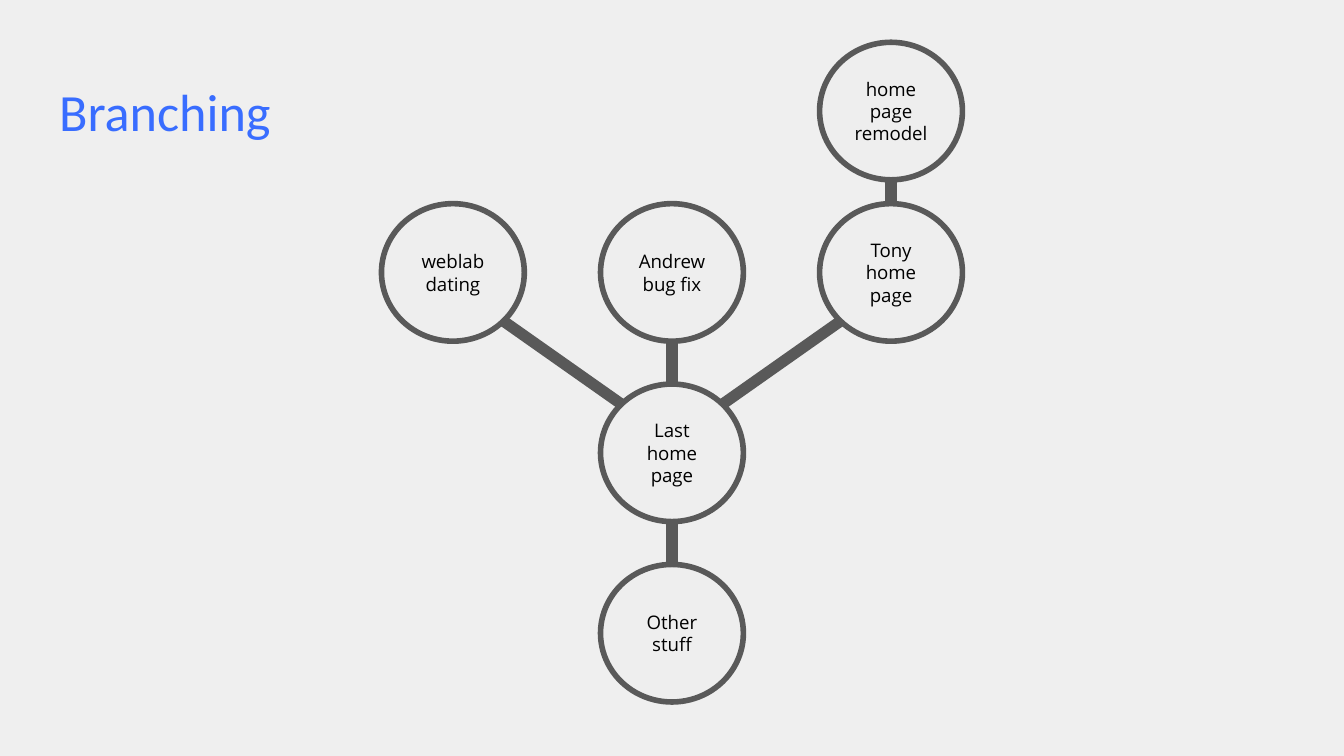
import math

import pptx
import pptx.dml.color
import pptx.enum.shapes
import pptx.enum.text
import pptx.oxml
import pptx.util
from pptx.util import Cm

RGBColor = pptx.dml.color.RGBColor
BACKGROUND = RGBColor(0xEF, 0xEF, 0xEF)
NODE_FILL = RGBColor(0xEE, 0xEE, 0xEE)
GRAY = RGBColor(0x59, 0x59, 0x59)
BLUE = RGBColor(0x39, 0x6D, 0xFF)
BLACK = RGBColor(0, 0, 0)

# Grid of commit centres, in centimetres
COLUMNS = [12.7 + 4.14 * step for step in (-1, 0, 1)]
ROWS = [2.1, 5.15, 8.56, 11.97]
NODE_WIDTH, NODE_HEIGHT = 2.7, 2.6


def write_text(frame, text, *, font, size, color, align, anchor):
    frame.word_wrap = True
    frame.vertical_anchor = anchor
    frame.margin_left = frame.margin_right = Cm(0.25)
    frame.margin_top = frame.margin_bottom = Cm(0.25)
    frame.text = text
    for paragraph in frame.paragraphs:
        paragraph.alignment = align
        paragraph.font.name = font
        paragraph.font.size = pptx.util.Pt(size)
        paragraph.font.color.rgb = color


def rim(center, dx, dy):
    """Point on a node's rim in the direction (dx, dy)."""
    length = math.hypot(dx, dy)
    return (center[0] + NODE_WIDTH / 2 * dx / length,
            center[1] + NODE_HEIGHT / 2 * dy / length)


class BranchDiagram:
    title_font, node_font = "Calibri", "Open Sans"
    node_line, branch_line = pptx.util.Pt(3), pptx.util.Pt(6)

    def __init__(self, slide):
        self.slide = slide
        fill = slide.background.fill
        fill.solid()
        fill.fore_color.rgb = BACKGROUND

    def title(self, text):
        box = self.slide.shapes.add_textbox(Cm(0.87), Cm(1.24), Cm(23.66), Cm(1.6))
        write_text(box.text_frame, text, font=self.title_font, size=28, color=BLUE,
                   align=pptx.enum.text.PP_ALIGN.LEFT,
                   anchor=pptx.enum.text.MSO_ANCHOR.TOP)

    def node(self, center, text):
        circle = self.slide.shapes.add_shape(
            pptx.enum.shapes.MSO_SHAPE.OVAL,
            Cm(center[0] - NODE_WIDTH / 2), Cm(center[1] - NODE_HEIGHT / 2),
            Cm(NODE_WIDTH), Cm(NODE_HEIGHT))
        circle.shadow.inherit = False
        circle.fill.solid()
        circle.fill.fore_color.rgb = NODE_FILL
        circle.line.color.rgb = GRAY
        circle.line.width = self.node_line
        write_text(circle.text_frame, text, font=self.node_font, size=10, color=BLACK,
                   align=pptx.enum.text.PP_ALIGN.CENTER,
                   anchor=pptx.enum.text.MSO_ANCHOR.MIDDLE)

    def branch(self, start, end):
        line = self.slide.shapes.add_connector(
            pptx.enum.shapes.MSO_CONNECTOR.STRAIGHT, *map(Cm, start + end))
        line.line.color.rgb = GRAY
        line.line.width = self.branch_line
        line._element.spPr.append(pptx.oxml.parse_xml(
            '<a:effectLst xmlns:a="http://schemas.openxmlformats.org/drawingml/2006/main"/>'))


def main():
    deck = pptx.Presentation()
    deck.slide_width, deck.slide_height = Cm(25.4), Cm(14.29)
    diagram = BranchDiagram(deck.slides.add_slide(deck.slide_layouts[6]))

    middle, right = COLUMNS[1:]
    remodel = (right, ROWS[0])
    dating, bug_fix, tony = [(column, ROWS[1]) for column in COLUMNS]
    last_home = (middle, ROWS[2])
    other = (middle, ROWS[3])

    # Trunk behind the middle column
    diagram.branch(rim(bug_fix, 0, -1), rim(other, 0, 1))

    # Commits
    for center, text in [
        (bug_fix, "Andrew bug fix"),
        (last_home, "Last home\npage"),
        (other, "Other stuff"),
        (dating, "weblab dating"),
        (remodel, "home\npage remodel"),
        (tony, "Tony home\npage"),
    ]:
        diagram.node(center, text)

    # Side branches
    diagram.branch(rim(dating, 1, 1), rim(last_home, -1, -1))
    diagram.branch(rim(last_home, 1, -1), rim(tony, -1, 1))
    diagram.branch(rim(tony, 0, -1), rim(remodel, 0, 1))

    diagram.title("Branching")
    deck.save("out.pptx")


if __name__ == "__main__":
    main()
